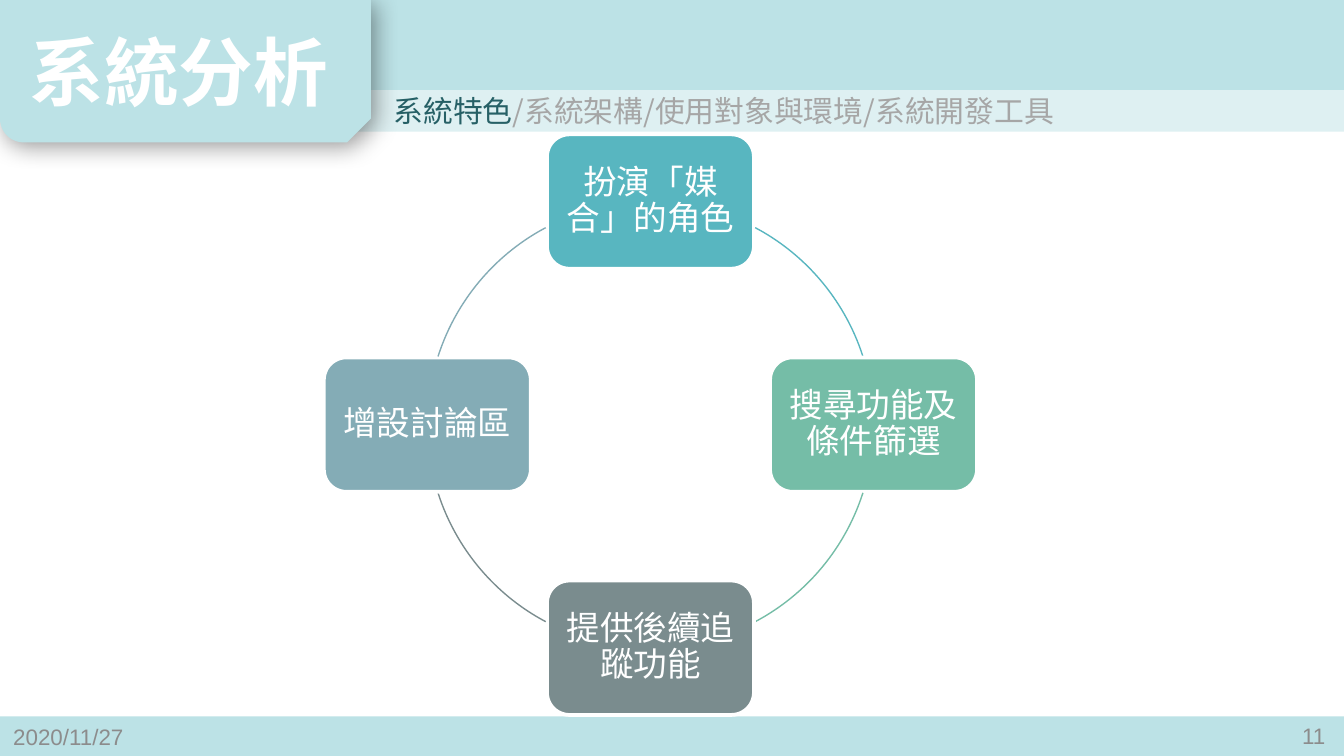
from dataclasses import dataclass

from lxml.etree import SubElement
from pptx import Presentation
from pptx.dml.color import RGBColor
from pptx.enum.shapes import MSO_SHAPE as Shape
from pptx.enum.text import MSO_ANCHOR as Anchor, MSO_AUTO_SIZE as AutoSize, PP_ALIGN as Align
from pptx.oxml.ns import qn
from pptx.util import Inches, Pt

CJK = "Noto Sans CJK SC"
AQUA, PALE, WHITE, GREY = "BCE2E6", "DEF0F2", "FFFFFF", "8C8C8C"


@dataclass
class Node:
    text: str
    color: str
    dx: int  # direction from the centre of the cycle
    dy: int
    arc_start: float  # arc leading to the next node, in degrees
    arc_end: float


NODES = [
    Node("扮演「媒合」的角色", "58B6C0", 0, -1, 298, 342.2),
    Node("搜尋功能及條件篩選", "75BDA7", 1, 0, 17.8, 62),
    Node("提供後續追蹤功能", "7A8C8E", 0, 1, 118, 162.2),
    Node("增設討論區", "84ACB6", -1, 0, 197.8, 242),
]
CENTER_X, CENTER_Y, RADIUS = 4.84, 3.16, 1.66
NODE_W, NODE_H = 1.54, 1


def rgb(color: str) -> RGBColor:
    return RGBColor.from_string(color)


def add_shape(slide, kind, x: float, y: float, w: float, h: float, fill: str):
    sp = slide.shapes.add_shape(kind, Inches(x), Inches(y), Inches(w), Inches(h))
    sp.shadow.inherit = False
    sp.fill.solid()
    sp.fill.fore_color.rgb = rgb(fill)
    sp.line.fill.background()
    return sp


def add_run(p, text: str, size: float, color: str, font: str = CJK, bold: bool = False) -> None:
    r = p.add_run()
    r.text = text
    r.font.size = Pt(size)
    r.font.bold = bold
    r.font.name = font
    r.font.color.rgb = rgb(color)
    SubElement(r.font._element, qn("a:ea")).set("typeface", CJK)


def add_text_box(slide, x: float, y: float, w: float, h: float, align=Align.LEFT, anchor=Anchor.MIDDLE):
    tf = slide.shapes.add_textbox(Inches(x), Inches(y), Inches(w), Inches(h)).text_frame
    tf.word_wrap = True
    tf.vertical_anchor = anchor
    tf.paragraphs[0].alignment = align
    return tf.paragraphs[0]


def add_drop_shadow(sp) -> None:
    effects = sp._element.spPr.find(qn("a:effectLst"))
    shadow = SubElement(effects, qn("a:outerShdw"), blurRad=str(Pt(13)), dist=str(Pt(3)),
                        dir="2700000", algn="tl", rotWithShape="0")
    color = SubElement(shadow, qn("a:srgbClr"), val="000000")
    SubElement(color, qn("a:alpha"), val="40000")


def add_node(slide, node: Node) -> None:
    x = CENTER_X + node.dx * RADIUS - NODE_W / 2
    y = CENTER_Y + node.dy * RADIUS - NODE_H / 2
    sp = add_shape(slide, Shape.ROUNDED_RECTANGLE, x, y, NODE_W, NODE_H, node.color)
    sp.line.color.rgb = rgb(WHITE)
    sp.line.width = Pt(2)
    tf = sp.text_frame
    tf.word_wrap = True
    tf.vertical_anchor = Anchor.MIDDLE
    tf.margin_left = tf.margin_right = tf.margin_top = tf.margin_bottom = Inches(0.07)
    p = tf.paragraphs[0]
    p.alignment = Align.CENTER
    p.line_spacing = 0.9
    add_run(p, node.text, 18, WHITE)


def add_arc(slide, node: Node) -> None:
    sp = add_shape(slide, Shape.ARC, CENTER_X - RADIUS, CENTER_Y - RADIUS,
                   2 * RADIUS, 2 * RADIUS, WHITE)
    sp.fill.background()
    sp.line.color.rgb = rgb(node.color)
    sp.line.width = Pt(0.75)
    # Angles are stored in 60000ths of a degree, adjustments in 100000ths
    sp.adjustments[0] = node.arc_start * 0.6
    sp.adjustments[1] = node.arc_end * 0.6


def main() -> None:
    prs = Presentation()
    prs.slide_width, prs.slide_height = Inches(10), Inches(10 * 9 / 16)
    slide = prs.slides.add_slide(prs.slide_layouts[5])

    # Bands and title tab
    add_shape(slide, Shape.RECTANGLE, 0, 0, 10, 0.67, AQUA)
    add_shape(slide, Shape.RECTANGLE, 0, 5.33, 10, 0.3, AQUA)
    add_shape(slide, Shape.RECTANGLE, 0.28, 0.67, 9.72, 0.31, PALE)
    tab = add_shape(slide, Shape.SNIP_ROUND_RECTANGLE, 0, 0, 2.76, 1.06, AQUA)
    tab._element.spPr.find(qn("a:xfrm")).set("flipV", "1")
    add_drop_shadow(tab)

    # Title, brought in front of the tab
    title = slide.shapes.title
    title.left, title.top = Inches(0.12), Inches(0.14)
    title.width, title.height = Inches(2.52), Inches(0.77)
    tf = title.text_frame
    tf.auto_size = AutoSize.NONE
    tf.vertical_anchor = Anchor.MIDDLE
    tf.paragraphs[0].alignment = Align.JUSTIFY
    add_run(tf.paragraphs[0], "系統分析", 40, WHITE, "Arial", bold=True)
    tab._element.addnext(title._element)

    # Section navigation
    p = add_text_box(slide, 2.83, 0.64, 5.63, 0.37, anchor=Anchor.TOP)
    add_run(p, "系統特色", 16, "266066")
    add_run(p, "/系統架構/使用對象與環境/系統開發工具", 16, "A6A6A6")

    # Footer
    add_run(add_text_box(slide, 0, 5.33, 2.33, 0.3), "2020/11/27", 12, GREY, "Arial")
    add_run(add_text_box(slide, 7.63, 5.32, 2.33, 0.3, Align.RIGHT), "11", 12, GREY, "Arial")

    # Cycle of features
    for node in NODES:
        add_node(slide, node)
        add_arc(slide, node)

    prs.save("out.pptx")


if __name__ == "__main__":
    main()
